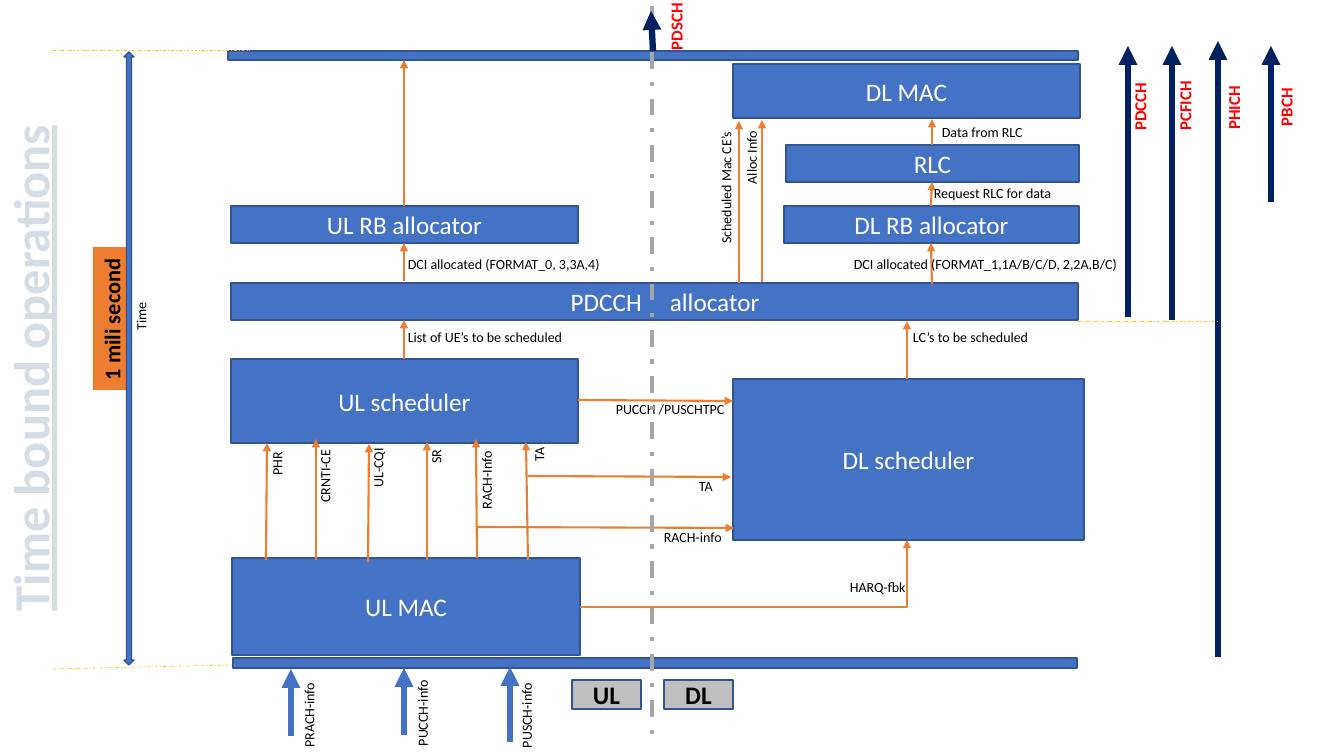
"""Build the slide of time bound uplink and downlink operations."""
from pptx import Presentation, util as u
from pptx.dml.color import RGBColor
from pptx.enum import dml, shapes, text
from pptx.oxml.ns import qn
from lxml import etree

PX = 914400 / 100.8
HUES = {"blue": "4472C4", "edge": "325491", "orange": "ED7D31", "navy": "002060",
        "gold": "FFC000", "grey": "A6A6A6", "silver": "BFBFBF", "pale": "D6DCE5",
        "red": "FF0000", "black": "000000", "white": "FFFFFF"}
KIND = shapes.MSO_SHAPE
LINE = shapes.MSO_CONNECTOR


def style(item, words, size, hue, bold=False, align=None):
    """Write the words and format their runs."""
    item.text_frame.text = words
    for para in item.text_frame.paragraphs:
        para.alignment = align
        for run in para.runs:
            run.font.name = "Calibri"
            run.font.size = u.Pt(size)
            run.font.bold = bold
            run.font.color.rgb = RGBColor.from_string(HUES[hue])


def link(ends, hue, width, head=True, dash=None, kind=LINE.STRAIGHT):
    """Draw a line or arrow between two points."""
    line = slide.shapes.add_connector(kind, *[round(n * PX) for n in ends])
    line.line.color.rgb = RGBColor.from_string(HUES[hue])
    line.line.width = u.Pt(width)
    if dash:
        line.line.dash_style = dash
    if head:
        etree.SubElement(line.line._get_or_add_ln(), qn("a:tailEnd"), type="triangle")
    etree.SubElement(line._element.spPr, qn("a:effectLst"))
    return line


deck = Presentation()
deck.slide_width, deck.slide_height = round(1344 * PX), round(756 * PX)
slide = deck.slides.add_slide(deck.slide_layouts[6])

boxes = [
    ("", 233, 658, 844, 10), ("UL MAC", 232, 558, 348, 97),
    ("DL scheduler", 733, 379, 351, 161), ("UL scheduler", 231, 359, 347, 84),
    ("PDCCH", 231, 283, 847, 37), ("UL RB allocator", 231, 206, 347, 37),
    ("DL RB allocator", 784, 206, 295, 37), ("DL MAC", 733, 64, 347, 54),
    ("", 228, 51, 850, 9), ("RLC", 786, 145, 293, 37),
    ("1 mili second", 40, 300, 143, 37), ("UL", 572, 680, 69, 29),
    ("DL", 664, 680, 69, 29), ("Time span", 124, 52, 10, 613)]
for name, *area in boxes:
    span, badge, term = name == "Time span", name in ("UL", "DL"), name == "1 mili second"
    box = slide.shapes.add_shape(KIND.UP_DOWN_ARROW if span else KIND.RECTANGLE,
                                 *[round(n * PX) for n in area])
    box.shadow.inherit = False
    box.fill.solid()
    fill = "orange" if term else "silver" if badge else "blue"
    box.fill.fore_color.rgb = RGBColor.from_string(HUES[fill])
    if term:
        box.line.fill.background()
        box.rotation = 270
        style(box, name, 16, "black", True, text.PP_ALIGN.LEFT)
        box.text_frame.word_wrap = False
    else:
        box.line.color.rgb = RGBColor.from_string(HUES["edge"])
        box.line.width = u.Pt(1)
        if name and not span:
            style(box, name, 18, "black" if badge else "white", badge, text.PP_ALIGN.CENTER)
    if name == "PDCCH":
        para = box.text_frame.paragraphs[0]
        for part in (" ", "allocator"):
            run = para.add_run()
            run.text = part
            run.font.name = "Calibri"
            run.font.size = u.Pt(18)
            run.font.color.rgb = RGBColor.from_string(HUES["white"])
        para.runs[1]._r.get_or_add_rPr().set("spc", "1600")
        box.text_frame.margin_left = round(31 * PX)

flows = [
    (266, 560, 267, 443), (316, 560, 316, 439), (368, 562, 369, 444),
    (427, 560, 427, 442), (477, 558, 476, 439), (528, 560, 526, 442),
    (578, 400, 733, 401), (528, 476, 731, 477), (476, 527, 734, 528),
    (404, 359, 404, 320), (404, 281, 404, 243), (404, 206, 404, 60),
    (907, 379, 907, 321), (932, 284, 931, 243), (931, 206, 932, 182),
    (932, 145, 932, 119), (739, 283, 739, 121), (762, 282, 762, 120)]
for ends in flows:
    link(ends, "orange", 1.5)
bend = link((580, 607, 907, 540), "orange", 1.5, kind=LINE.ELBOW)
bend._element.spPr.find(qn("a:prstGeom")).set("prst", "bentConnector2")

notes = {
    (True, 270): [
        ("RACH-Info", 444, 463, 85), ("PUSCH-info", 469, 687, 115),
        ("PUCCH-info", 378, 698, 89), ("PRACH-info", 263, 698, 92),
        ("TA", 521, 440, 36)],
    (True, 0): [
        ("PUCCH /PUSCHTPC", 606, 396, 157), ("HARQ-fbk", 840, 574, 82),
        ("LC’s to be scheduled", 903, 324, 138)],
    (False, 270): [
        ("UL-CQI", 348, 454, 60), ("CRNTI-CE", 288, 462, 74), ("PHR", 255, 450, 44),
        ("SR", 419, 443, 34), ("Alloc Info", 714, 143, 75), ("Time", 117, 303, 48),
        ("Scheduled Mac CE’s", 659, 173, 134)],
    (False, 0): [
        ("TA", 689, 473, 35), ("RACH-info", 654, 524, 79),
        ("List of UE’s to be scheduled", 398, 324, 177),
        ("Request RLC for data", 924, 180, 140),
        ("DCI allocated (FORMAT_0, 3,3A,4)", 398, 251, 216),
        ("Data from RLC", 932, 119, 106),
        ("DCI allocated (FORMAT_1,1A/B/C/D, 2,2A,B/C)", 844, 251, 292)]}
looks = [(wrap, turn, 27, 10, "black", False, rows) for (wrap, turn), rows in notes.items()]
looks.append((False, 270, 30, 12, "red", True, [
    ("PDSCH", 642, 11, 68), ("PDCCH", 1105, 91, 69), ("PHICH", 1201, 92, 65),
    ("PCFICH", 1149, 90, 71), ("PBCH", 1257, 92, 58)]))
looks.append((False, 270, 72, 36, "pale", True, [("Time bound operations", -226, 332, 512)]))
for wrap, turn, high, size, hue, bold, rows in looks:
    for words, left, top, wide in rows:
        note = slide.shapes.add_textbox(*[round(n * PX) for n in (left, top, wide, high)])
        note.rotation = turn
        style(note, words, size, hue, bold)
        note.text_frame.word_wrap = wrap
        note.text_frame.auto_size = text.MSO_AUTO_SIZE.SHAPE_TO_FIT_TEXT
title = note.text_frame.paragraphs[0]
title.alignment = text.PP_ALIGN.CENTER
title.runs[0].font.underline = True

link((652, 6, 652, 746), "grey", 3, False, dml.MSO_LINE.DASH_DOT)
for ends in [(291, 736, 291, 669), (404, 735, 404, 668), (510, 742, 510, 667)]:
    link(ends, "blue", 4.5)
for ends in [(653, 51, 651, 11), (1128, 317, 1128, 46), (1172, 320, 1172, 46),
             (1218, 657, 1218, 41), (1271, 202, 1271, 46)]:
    link(ends, "navy", 4.5)
for ends in [(1078, 321, 1218, 321), (53, 50, 250, 50), (53, 669, 235, 665)]:
    link(ends, "gold", 0.5, False, dml.MSO_LINE.DASH_DOT)

deck.save("out.pptx")
